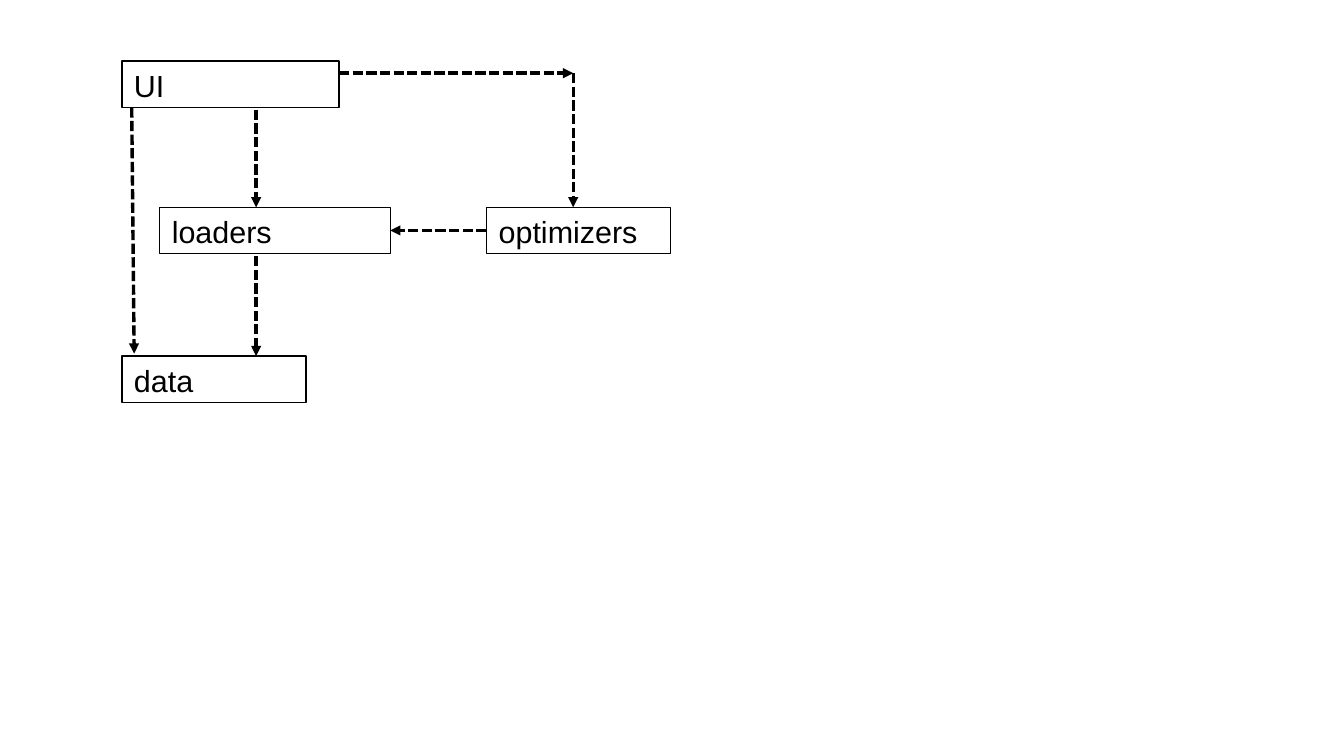
"""Draw the dependency diagram of the UI, loaders, optimizers and data modules."""
from dataclasses import dataclass

from pptx import Presentation
from pptx.dml.color import RGBColor
from pptx.enum.dml import MSO_LINE
from pptx.enum.shapes import MSO_CONNECTOR, MSO_SHAPE
from pptx.enum.text import MSO_ANCHOR, PP_ALIGN
from pptx.oxml.ns import qn
from pptx.shapes.autoshape import Shape
from pptx.shapes.connector import Connector
from pptx.slide import Slide
from pptx.util import Inches, Pt
from lxml.etree import SubElement

BLACK = RGBColor(0, 0, 0)
BOX_HEIGHT = 0.38
LEFT_SIDE, RIGHT_SIDE = 1, 3


@dataclass(frozen=True)
class Module:
    name: str
    left: float
    top: float
    width: float


@dataclass(frozen=True)
class Arrow:
    x1: float
    y1: float
    x2: float
    y2: float


MODULES = [
    Module("UI", 1, 0.5, 1.78),
    Module("loaders", 1.31, 1.7, 1.89),
    Module("optimizers", 3.99, 1.7, 1.51),
    Module("data", 1, 2.92, 1.51),
]
ARROWS = [
    Arrow(2.1, 2.1, 2.1, 2.92),
    Arrow(2.1, 0.9, 2.1, 1.7),
    Arrow(1.08, 0.88, 1.1, 2.9),
    Arrow(4.7, 0.6, 4.7, 1.7),
    Arrow(2.78, 0.6, 4.7, 0.6),
]
OPTIMIZERS_TO_LOADERS = Arrow(3.99, 1.89, 3.2, 1.89)


def add_module(s: Slide, module: Module) -> Shape:
    sp = s.shapes.add_shape(
        MSO_SHAPE.RECTANGLE, Inches(module.left), Inches(module.top),
        Inches(module.width), Inches(BOX_HEIGHT))
    sp.shadow.inherit = False
    sp.fill.background()
    sp.line.color.rgb = BLACK
    sp.line.width = Pt(0)
    tf = sp.text_frame
    tf.word_wrap = True
    tf.vertical_anchor = MSO_ANCHOR.TOP
    p = tf.paragraphs[0]
    p.text = module.name
    p.alignment = PP_ALIGN.LEFT
    p.font.name = "Arial"
    p.font.size = Pt(18)
    p.font.color.rgb = BLACK
    return sp


def add_arrow(s: Slide, arrow: Arrow) -> Connector:
    cxn = s.shapes.add_connector(
        MSO_CONNECTOR.STRAIGHT, Inches(arrow.x1), Inches(arrow.y1),
        Inches(arrow.x2), Inches(arrow.y2))
    cxn.line.color.rgb = BLACK
    cxn.line.width = Pt(0)
    cxn.line.dash_style = MSO_LINE.SQUARE_DOT
    sp_pr = cxn._element.spPr
    SubElement(sp_pr.find(qn("a:ln")), qn("a:tailEnd"), type="triangle")
    SubElement(sp_pr, qn("a:effectLst"))
    return cxn


def main() -> None:
    prs = Presentation()
    prs.slide_width, prs.slide_height = Inches(11.02), Inches(6.2)
    s = prs.slides.add_slide(prs.slide_layouts[6])
    boxes = {module.name: add_module(s, module) for module in MODULES}
    for arrow in ARROWS:
        add_arrow(s, arrow)
    link = add_arrow(s, OPTIMIZERS_TO_LOADERS)
    link.begin_connect(boxes["optimizers"], LEFT_SIDE)
    link.end_connect(boxes["loaders"], RIGHT_SIDE)
    prs.save("out.pptx")


if __name__ == "__main__":
    main()
